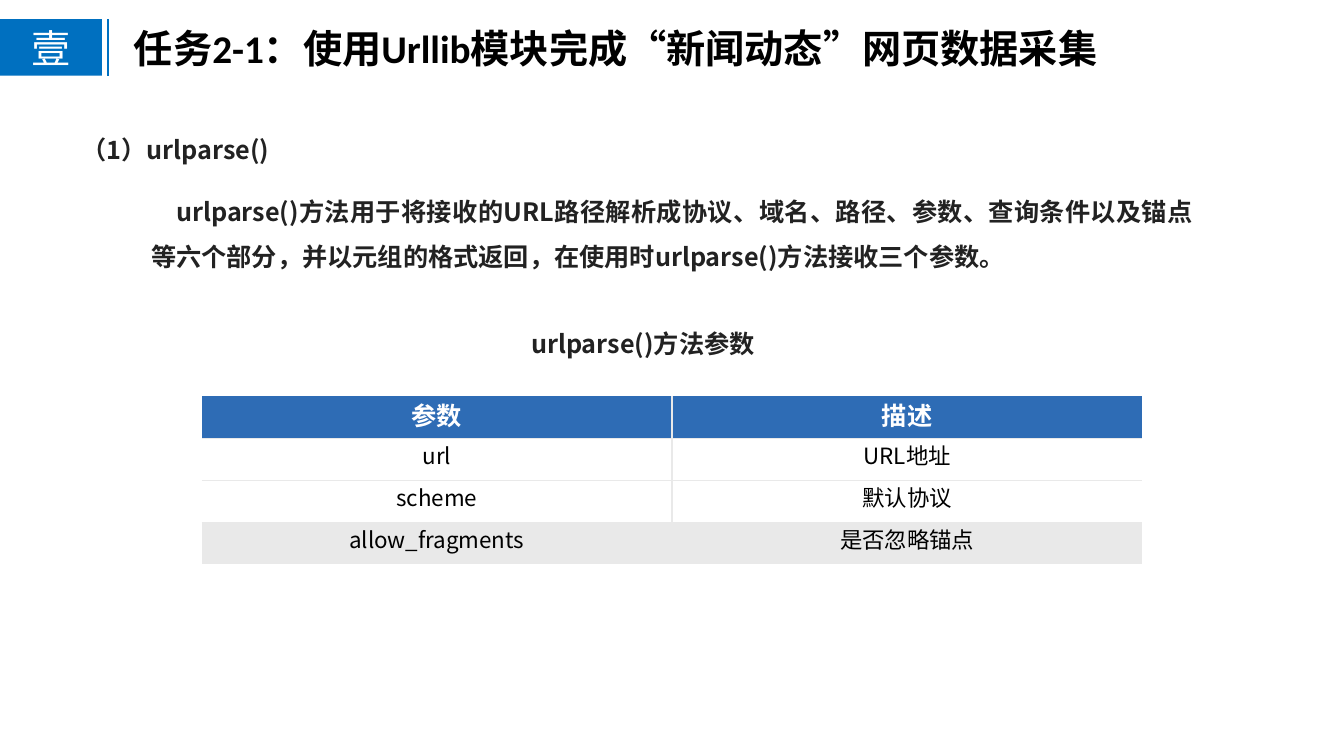
from lxml import etree
from pptx import Presentation
from pptx.dml.color import RGBColor
from pptx.enum.shapes import MSO_CONNECTOR, MSO_SHAPE
from pptx.enum.text import MSO_ANCHOR, PP_ALIGN
from pptx.oxml.ns import qn
from pptx.util import Inches, Pt

LINE, RECT = MSO_CONNECTOR.STRAIGHT, MSO_SHAPE.RECTANGLE
LEFT, MID, JUST = PP_ALIGN.LEFT, PP_ALIGN.CENTER, PP_ALIGN.JUSTIFY
CENTRE = MSO_ANCHOR.MIDDLE
WIDE, HIGH = Inches(13.33), Inches(7.5)
SANS, LATIN = "Noto Sans CJK SC", "Calibri"
HUES = {"blue": "0070C0", "head": "2E6CB5", "rule": "E9E9E9",
        "text": "222222", "black": "000000", "white": "FFFFFF"}
ROWS = [("参数", "描述"), ("url", "URL地址"),
        ("scheme", "默认协议"), ("allow_fragments", "是否忽略锚点")]


def hue(name):
    """Return a named colour."""
    return RGBColor.from_string(HUES[name])


def area(left, top, width, height):
    """Turn percentages of the slide into lengths."""
    return (int(WIDE * left / 100), int(HIGH * top / 100),
            int(WIDE * width / 100), int(HIGH * height / 100))


def write(frame, text, size, color, bold=True, face=SANS,
          align=LEFT, space=None, indent=0):
    """Write one paragraph as a single run."""
    para = frame.paragraphs[0]
    para.alignment = align
    if space:
        para.line_spacing = space
    if indent:
        para._p.get_or_add_pPr().set("indent", str(Inches(indent)))
    run = para.add_run()
    run.text = text
    font = run.font
    font.name, font.size, font.bold = face, Pt(size), bold
    font.color.rgb = hue(color)
    east = etree.SubElement(run._r.get_or_add_rPr(), qn("a:ea"))
    east.set("typeface", SANS)


def label(slide, box, text, size, color, **style):
    """Add a wrapping text box."""
    frame = slide.shapes.add_textbox(*area(*box)).text_frame
    frame.word_wrap = True
    write(frame, text, size, color, **style)


def badge(slide, box, text):
    """Add the section number block."""
    shape = slide.shapes.add_shape(RECT, *area(*box))
    shape.shadow.inherit = False
    shape.fill.solid()
    shape.fill.fore_color.rgb = hue("blue")
    shape.line.fill.background()
    frame = shape.text_frame
    frame.vertical_anchor = CENTRE
    frame.margin_left = frame.margin_right = Inches(0.03)
    frame.margin_top = frame.margin_bottom = Inches(0.03)
    write(frame, text, 28, "white", bold=False, align=MID)


def upright(slide, left, top, height):
    """Add a thin vertical line."""
    x, y, _, tall = area(left, top, 0, height)
    line = slide.shapes.add_connector(LINE, x, y, x, y + tall)
    line.line.color.rgb = hue("blue")
    line.line.width = Pt(1)
    etree.SubElement(line._element.spPr, qn("a:effectLst"))


def edge(cell, side, shown):
    """Set one cell border, drawn or empty."""
    props = cell._tc.get_or_add_tcPr()
    line = etree.SubElement(props, qn("a:ln" + side), w=str(Pt(1)))
    if shown:
        fill = etree.SubElement(line, qn("a:solidFill"))
        etree.SubElement(fill, qn("a:srgbClr"), val=HUES["rule"])
    else:
        etree.SubElement(line, qn("a:noFill"))


def grid(slide, box, rows):
    """Add the table with inner rules only."""
    last, end = len(rows) - 1, len(rows[0]) - 1
    table = slide.shapes.add_table(last + 1, end + 1, *area(*box)).table
    table.horz_banding = False
    fills = {0: "head", last: "rule"}
    for r, row in enumerate(rows):
        for c, text in enumerate(row):
            cell = table.cell(r, c)
            cell.margin_left = cell.margin_right = Inches(0.07)
            cell.margin_top = cell.margin_bottom = 0
            for side, shown in zip("LRTB", (c > 0, c < end, r > 0, r < last)):
                edge(cell, side, shown)
            cell.fill.solid()
            cell.fill.fore_color.rgb = hue(fills.get(r, "white"))
            size, color = (16, "black") if r else (18, "white")
            write(cell.text_frame, text, size, color, bold=r == 0, align=MID)


def main():
    """Build and save the slide."""
    deck = Presentation()
    deck.slide_width, deck.slide_height = WIDE, HIGH
    slide = deck.slides.add_slide(deck.slide_layouts[6])
    label(slide, (9.23, 2.53, 75.32, 7.6),
          "任务2-1：使用Urllib模块完成“新闻动态”网页数据采集",
          28, "black", face=LATIN)
    badge(slide, (0, 2.53, 7.58, 7.47), "壹")
    upright(slide, 8.03, 2.53, 7.47)
    label(slide, (5.33, 17.07, 41.71, 5.33), "（1）urlparse()", 18, "text")
    label(slide, (10.5, 23.33, 79, 13.47),
          "urlparse()方法用于将接收的URL路径解析成协议、域名、路径、参数、"
          "查询条件以及锚点等六个部分，并以元组的格式返回，"
          "在使用时urlparse()方法接收三个参数。",
          18, "text", align=JUST, space=1.5, indent=0.25)
    grid(slide, (15, 52.4, 70, 22.27), ROWS)
    label(slide, (35.78, 40.8, 26.78, 7.47), "urlparse()方法参数",
          18, "text", align=JUST, space=1.5, indent=0.4)
    deck.save("out.pptx")


if __name__ == "__main__":
    main()
